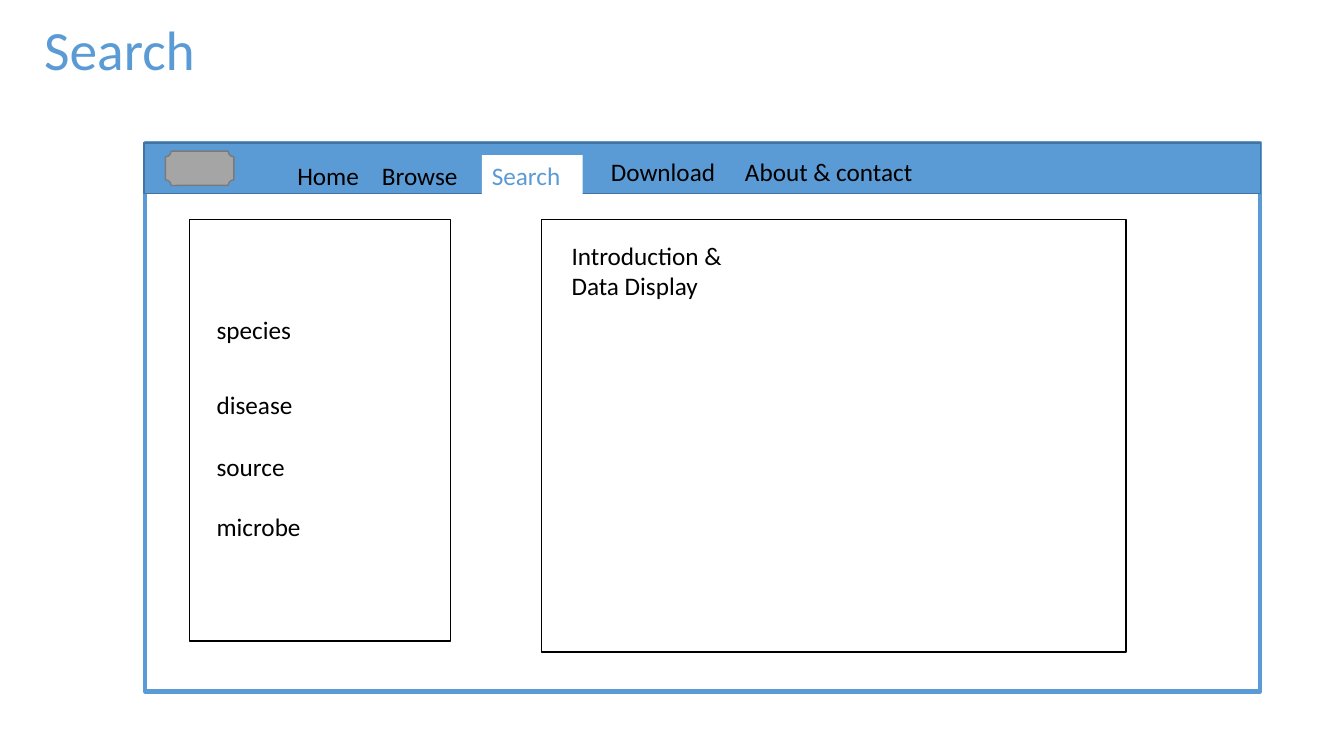
from pptx import Presentation
from pptx.dml.color import RGBColor
from pptx.enum.shapes import MSO_SHAPE
from pptx.enum.text import MSO_ANCHOR, PP_ALIGN
from pptx.util import Inches, Pt

RECT = MSO_SHAPE.RECTANGLE
PLAQUE = MSO_SHAPE.PLAQUE
TOP = MSO_ANCHOR.TOP
MIDDLE = MSO_ANCHOR.MIDDLE
LEFT = PP_ALIGN.LEFT

WHITE = RGBColor(0xFF, 0xFF, 0xFF)
BLACK = RGBColor(0, 0, 0)
BLUE = RGBColor(0x5B, 0x9B, 0xD5)
NAVY = RGBColor(0x43, 0x73, 0x9E)
GRAY = RGBColor(0xA5, 0xA5, 0xA5)
DARK = RGBColor(0x7A, 0x7A, 0x7A)


class Page:
    """Draws styled elements on one slide."""

    font = "Calibri"
    size = 18

    def __init__(self, slide):
        self.slide = slide

    def panel(self, x, y, w, h, fill, line=None, width=1, kind=RECT):
        shape = self.slide.shapes.add_shape(
            kind, Inches(x), Inches(y), Inches(w), Inches(h))
        shape.shadow.inherit = False
        shape.fill.solid()
        shape.fill.fore_color.rgb = fill
        if line is None:
            shape.line.fill.background()
        else:
            shape.line.color.rgb = line
            shape.line.width = Pt(width)
        return shape

    def letter(self, shape, text, color=BLACK, size=size, anchor=TOP):
        frame = shape.text_frame
        frame.word_wrap = True
        frame.vertical_anchor = anchor
        para = frame.paragraphs[0]
        para.alignment = LEFT
        run = para.add_run()
        run.text = text
        run.font.name = self.font
        run.font.size = Pt(size)
        run.font.color.rgb = color
        return para

    def label(self, text, x, y, w, h=0.4, **style):
        box = self.slide.shapes.add_textbox(
            Inches(x), Inches(y), Inches(w), Inches(h))
        return self.letter(box, text, **style)


def main():
    deck = Presentation()
    deck.slide_width = Inches(13.33)
    deck.slide_height = Inches(7.5)
    page = Page(deck.slides.add_slide(deck.slide_layouts[6]))

    title = page.label("Search", 0.34, 0.14, 2.98, 0.77,
                       color=BLUE, size=39.6, anchor=MIDDLE)
    title.line_spacing = 0.9

    page.panel(1.44, 1.42, 11.06, 5.44, WHITE, BLUE, 3)
    page.panel(1.43, 1.42, 11.07, 0.5, BLUE, NAVY)
    page.panel(1.64, 1.5, 0.68, 0.34, GRAY, DARK, kind=PLAQUE)

    tab = page.panel(4.78, 1.54, 1, 0.4, WHITE)
    page.letter(tab, "Search", BLUE)
    for text, x, y, w in (
        ("Home", 2.85, 1.54, 1.01),
        ("Browse", 3.69, 1.54, 1.01),
        ("Download", 5.96, 1.5, 1.42),
        ("About & contact", 7.29, 1.5, 1.98),
    ):
        page.label(text, x, y, w)

    page.panel(1.88, 2.18, 2.59, 4.18, WHITE, BLACK)
    for text, y in (("species", 3.07), ("disease", 3.81),
                    ("source", 4.43), ("microbe", 5.02)):
        page.label(text, 2.05, y, 1.1)

    page.panel(5.37, 2.18, 5.8, 4.29, WHITE, BLACK)
    page.label("Introduction & Data Display", 5.57, 2.33, 1.72, 0.71)

    deck.save("out.pptx")


if __name__ == "__main__":
    main()
